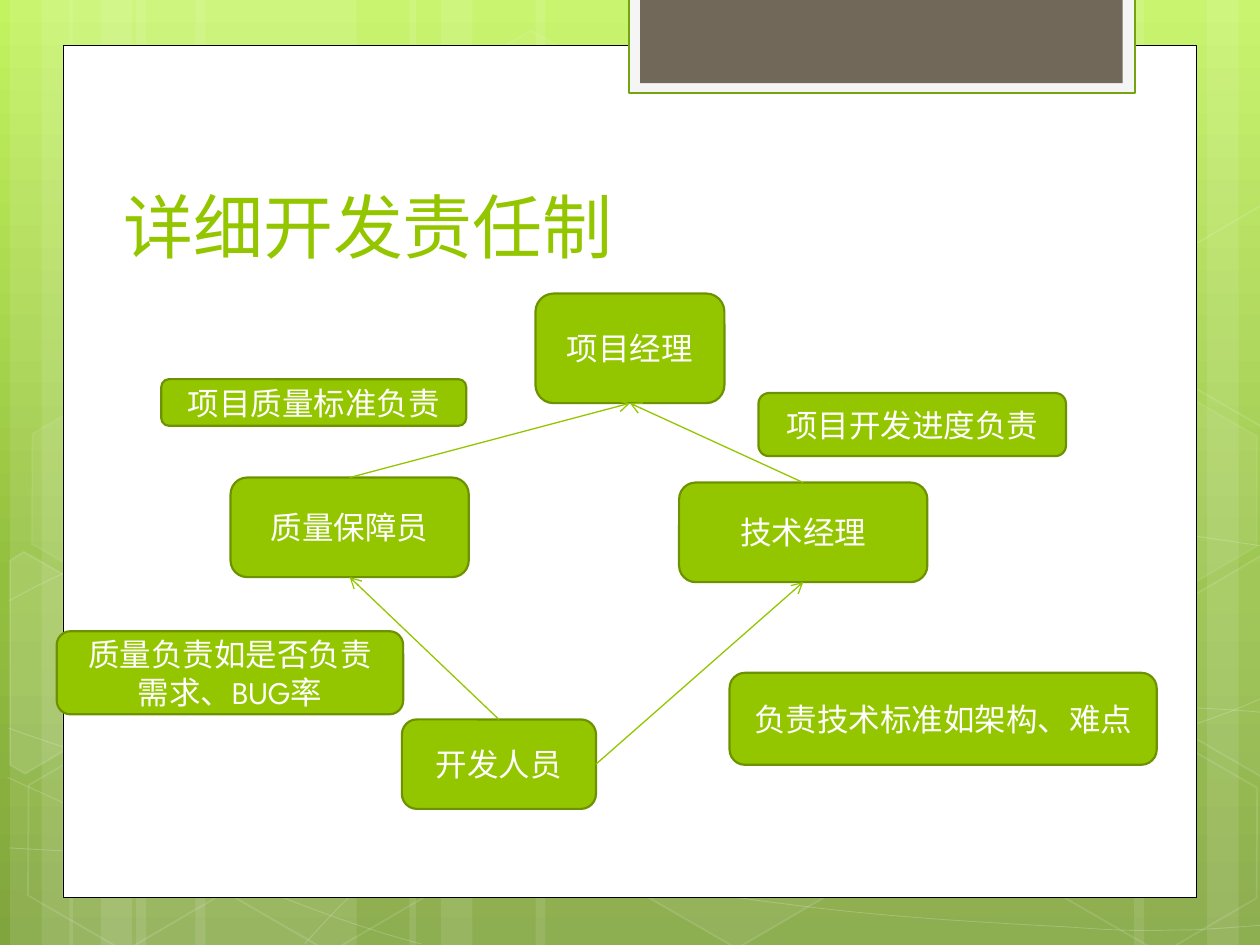
from copy import deepcopy
from dataclasses import dataclass
from math import cos, radians, sin
from typing import NamedTuple, Optional

from lxml.etree import SubElement
from pptx import Presentation
from pptx.dml.color import RGBColor as RGB
from pptx.enum.shapes import MSO_CONNECTOR as Link, MSO_SHAPE as Kind
from pptx.enum.text import MSO_ANCHOR as Anchor, PP_ALIGN as Align
from pptx.oxml.ns import qn
from pptx.util import Inches, Pt


@dataclass(frozen=True)
class Theme:
    font: str = "League Spartan"
    title: float = 40
    body: float = 18
    green: str = "94C600"
    edge: str = "6D9200"
    white: str = "FFFFFF"
    black: str = "000000"
    pale: str = "F5F5F5"
    rim: str = "74A510"
    brown: str = "71685A"
    back: tuple = ((0, "C3F35F"), (0.62, "93BF3F"), (1, "81A53E"))


class Box(NamedTuple):
    x: float
    y: float
    w: float
    h: float


class Bar(NamedTuple):
    x: float
    w: float
    turn: int = 0


class Hex(NamedTuple):
    x: float
    y: float
    fill: Optional[int]
    line: int


class Cut(NamedTuple):
    points: list
    fill: Optional[int]


class Node(NamedTuple):
    text: str
    box: Box


class Arrow(NamedTuple):
    start: str
    exit: int
    end: str
    entry: int


T = Theme()
TOP, BOTTOM, RIGHT = 0, 2, 3
TILT = 30

BARS = [Bar(1.08, 1.75), Bar(0.08, 0.5), Bar(0.33, 0.83), Bar(1.55, 1.75), Bar(0.55, 0.5),
        Bar(0.8, 0.83), Bar(7.33, 1.75, 180), Bar(9.58, 0.5, 180), Bar(9, 0.83, 180),
        Bar(4.25, 3.08), Bar(3.25, 0.5), Bar(3.5, 0.83)]

# Each curve is a start point, then two handles and an end point per segment.
CURVES = [
    [(0.07, 6.73), (0.61, 6.76), (1.15, 6.79), (1.9, 6.78), (2.65, 6.77), (3.58, 6.75),
     (4.58, 6.65), (5.58, 6.55), (7, 6.36), (7.92, 6.17), (8.83, 5.98), (9.77, 5.68),
     (10.07, 5.51)],
    [(0.07, 4.77), (0.36, 4.61), (0.65, 4.46), (1.21, 4.31), (1.78, 4.16), (2.59, 3.94),
     (3.47, 3.87), (4.36, 3.8), (5.44, 3.79), (6.54, 3.87), (7.64, 3.95), (9.47, 4.26),
     (10.07, 4.34)],
    [(0.06, 6.17), (1.27, 6.72), (2.47, 7.27), (3.34, 7.49)],
    [(0.07, 5.78), (0.38, 5.89), (0.7, 6), (1.28, 6.16), (1.86, 6.31), (2.73, 6.56),
     (3.57, 6.73), (4.4, 6.9), (5.45, 7.08), (6.28, 7.18), (7.11, 7.29), (8, 7.33),
     (8.53, 7.36), (9.05, 7.4), (9.19, 7.38), (9.45, 7.38), (9.71, 7.37), (9.89, 7.35),
     (10.07, 7.34)],
    [(2.42, 7.49), (2.6, 7.29), (2.78, 7.09), (3.02, 6.91), (3.26, 6.73), (3.6, 6.53),
     (3.88, 6.39), (4.16, 6.25), (4.33, 6.19), (4.7, 6.09), (5.06, 5.99), (5.73, 5.85),
     (6.08, 5.78), (6.44, 5.71), (6.49, 5.71), (6.8, 5.69), (7.11, 5.66), (7.6, 5.63),
     (7.94, 5.62), (8.29, 5.61), (8.86, 5.62), (8.86, 5.62), (8.86, 5.62), (9.53, 5.62),
     (9.53, 5.62), (9.71, 5.63), (9.88, 5.64), (9.97, 5.65), (10.06, 5.66), (10.03, 5.65),
     (10.06, 5.66)],
]

HEXES = [Hex(3.34, 0.36, 4, 8), Hex(4.97, 5.89, 6, 12), Hex(0.11, 5.91, None, 12),
         Hex(0.14, 3.12, 7, 8), Hex(1.74, 5.92, None, 12), Hex(7.53, 4.53, 10, 12),
         Hex(8.34, 5.93, None, 12), Hex(8.34, 3.14, 7, 8)]

LEFT = [(0.08, 4.45), (0.19, 4.38), (0.96, 4.82), (0.95, 5.7), (0.2, 6.14), (0.08, 6.07)]
LOW = [(9.26, 4.85), (10.01, 4.41), (10.09, 4.46), (10.09, 6.13), (10.02, 6.17), (9.26, 5.73)]
HIGH = [(x, y - 2.78) for x, y in LOW]
CUTS = [Cut(LEFT, 10), Cut(LOW, 4), Cut(HIGH, None)]

NODES = [
    Node("项目经理", Box(4.25, 2.33, 1.5, 0.87)),
    Node("开发人员", Box(3.19, 5.71, 1.54, 0.71)),
    Node("质量保障员", Box(1.83, 3.79, 1.89, 0.79)),
    Node("技术经理", Box(5.39, 3.83, 1.97, 0.79)),
    Node("负责技术标准如架构、难点", Box(5.79, 5.34, 3.39, 0.73)),
    Node("质量负责如是否负责需求、BUG率", Box(0.45, 5.01, 2.75, 0.66)),
    Node("项目开发进度负责", Box(6.02, 3.12, 2.44, 0.5)),
    Node("项目质量标准负责", Box(1.28, 3.01, 2.42, 0.37)),
]

ARROWS = [
    Arrow("开发人员", RIGHT, "技术经理", BOTTOM),
    Arrow("开发人员", TOP, "质量保障员", BOTTOM),
    Arrow("技术经理", TOP, "项目经理", BOTTOM),
    Arrow("质量保障员", TOP, "项目经理", BOTTOM),
]


def fade(fill, alpha: float) -> None:
    """Set the opacity of a solid fill, in percent."""
    if alpha < 100:
        tint = fill._xPr.find(qn("a:solidFill"))[0]
        SubElement(tint, qn("a:alpha")).set("val", str(int(alpha * 1000)))


def paint(shape, *, fill=None, alpha=None, line=None, width=1, clear=100) -> None:
    shape.shadow.inherit = False
    if fill:
        shape.fill.solid()
        shape.fill.fore_color.rgb = RGB.from_string(fill)
        fade(shape.fill, alpha or 100)
    else:
        shape.fill.background()
    if line:
        shape.line.color.rgb = RGB.from_string(line)
        shape.line.width = Pt(width)
        fade(shape.line.fill, clear)
    else:
        shape.line.fill.background()


def block(slide, box: Box, kind=Kind.RECTANGLE, **look):
    shape = slide.shapes.add_shape(kind, *map(Inches, box))
    paint(shape, **look)
    return shape


def write(shape, text: str, *, size=T.body, color=T.white, align=Align.CENTER,
          anchor=Anchor.MIDDLE) -> None:
    frame = shape.text_frame
    frame.word_wrap = True
    frame.vertical_anchor = anchor
    para = frame.paragraphs[0]
    para.alignment = align
    run = para.add_run()
    run.text = text
    run.font.name = T.font
    run.font.size = Pt(size)
    run.font.color.rgb = RGB.from_string(color)


def trace(slide, points: list, *, close=False, **look):
    spots = [(Inches(x), Inches(y)) for x, y in points]
    pen = slide.shapes.build_freeform(*spots[0])
    pen.add_line_segments(spots[1:], close=close)
    shape = pen.convert_to_shape()
    paint(shape, line=T.white, **look)
    return shape


def bend(shape) -> None:
    """Turn every three straight steps of an outline into one cubic curve."""
    steps = list(shape._element.iter(qn("a:lnTo")))
    for i in range(0, len(steps), 3):
        trio = steps[i:i + 3]
        curve = SubElement(trio[0].getparent(), qn("a:cubicBezTo"))
        for step in trio:
            curve.append(step[0])
            step.getparent().remove(step)


def spin(points: list, angle: float) -> list:
    a = radians(angle)
    return [(x * cos(a) - y * sin(a), x * sin(a) + y * cos(a)) for x, y in points]


def tilt(slide, cut: Cut) -> None:
    """Draw a cut hexagon as a level outline that is then rotated into place."""
    level = spin(cut.points, -TILT)
    mid = [(min(v) + max(v)) / 2 for v in zip(*level)]
    (cx, cy), = spin([mid], TILT)
    shape = trace(slide, [(x - mid[0] + cx, y - mid[1] + cy) for x, y in level], close=True,
                  fill=cut.fill and T.white, alpha=cut.fill, clear=12)
    shape.rotation = TILT


def join(slide, arrow: Arrow, shapes: dict) -> None:
    link = slide.shapes.add_connector(Link.STRAIGHT, 0, 0, 0, 0)
    link.begin_connect(shapes[arrow.start], arrow.exit)
    link.end_connect(shapes[arrow.end], arrow.entry)
    link.line.color.rgb = RGB.from_string(T.green)
    link.line.width = Pt(0.75)
    SubElement(link.line._get_or_add_ln(), qn("a:tailEnd")).set("type", "arrow")
    SubElement(link._element.spPr, qn("a:effectLst"))


def backdrop(slide) -> None:
    fill = slide.background.fill
    fill.gradient()
    fill.gradient_angle = 270
    first = fill.gradient_stops[0]._gs
    first.addnext(deepcopy(first))
    for stop, (place, color) in zip(fill.gradient_stops, T.back):
        stop.position = place
        stop.color.rgb = RGB.from_string(color)
    for bar in BARS:
        block(slide, Box(bar.x, 0, bar.w, 7.5), fill=T.white, alpha=10).rotation = bar.turn
    for curve in CURVES:
        bend(trace(slide, curve, width=0.5, clear=20))
    for h in HEXES:
        shape = block(slide, Box(h.x, h.y, 1.75, 1.52), Kind.HEXAGON, line=T.white,
                      clear=h.line, fill=h.fill and T.white, alpha=h.fill)
        shape.adjustments[0] = 0.285
        shape.rotation = TILT
    for cut in CUTS:
        tilt(slide, cut)
    block(slide, Box(0.5, 0.36, 9, 6.76), fill=T.white, line=T.black, width=0.5)
    block(slide, Box(4.99, -0.02, 4.02, 0.76), fill=T.pale, line=T.rim, width=1.25)
    block(slide, Box(5.08, -0.02, 3.83, 0.68), fill=T.brown)


def main() -> None:
    deck = Presentation()
    deck.slide_width, deck.slide_height = Inches(10), Inches(7.5)
    slide = deck.slides.add_slide(deck.slide_layouts[6])
    backdrop(slide)
    title = slide.shapes.add_textbox(*map(Inches, Box(0.88, 0.92, 7.68, 1.25)))
    write(title, "详细开发责任制", size=T.title, color=T.green, align=Align.LEFT,
          anchor=Anchor.BOTTOM)
    shapes = {}
    for node in NODES:
        shapes[node.text] = block(slide, node.box, Kind.ROUNDED_RECTANGLE, fill=T.green,
                                  line=T.edge, width=1.25)
        write(shapes[node.text], node.text)
    for arrow in ARROWS:
        join(slide, arrow, shapes)
    deck.save("out.pptx")


if __name__ == "__main__":
    main()
